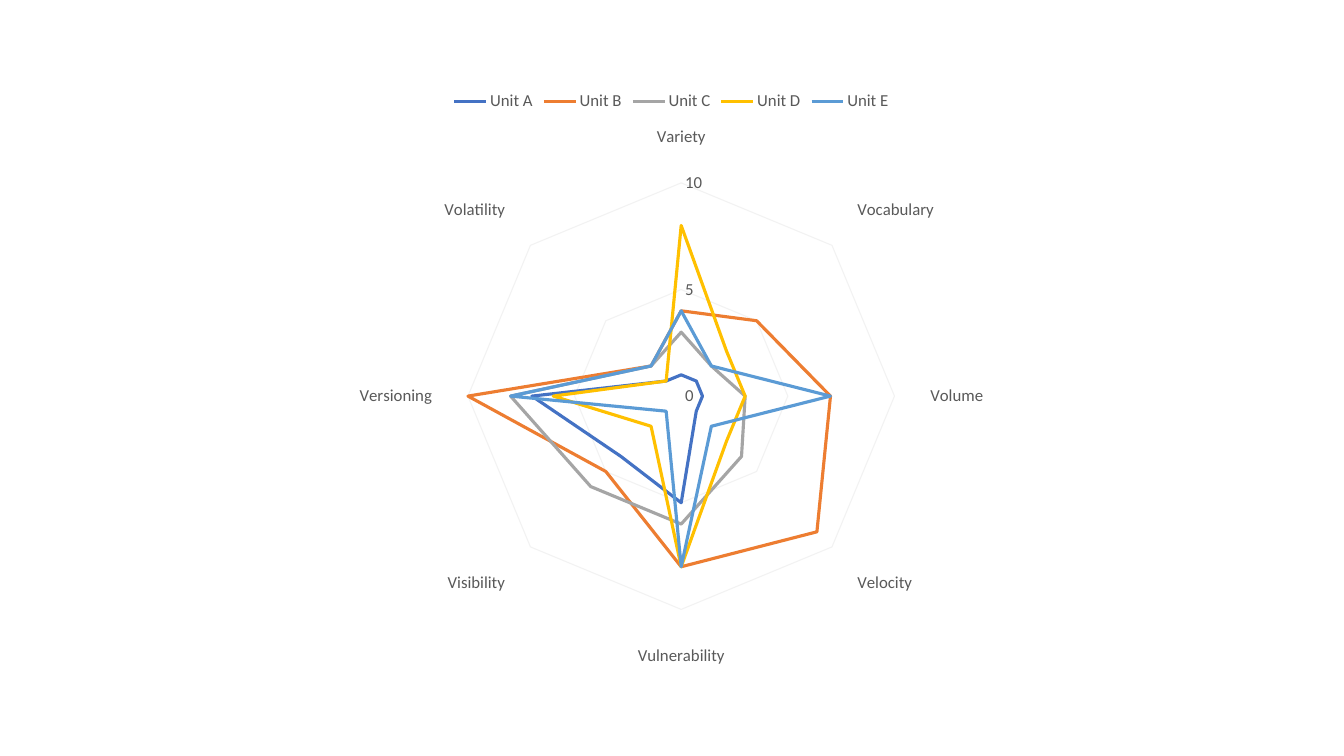
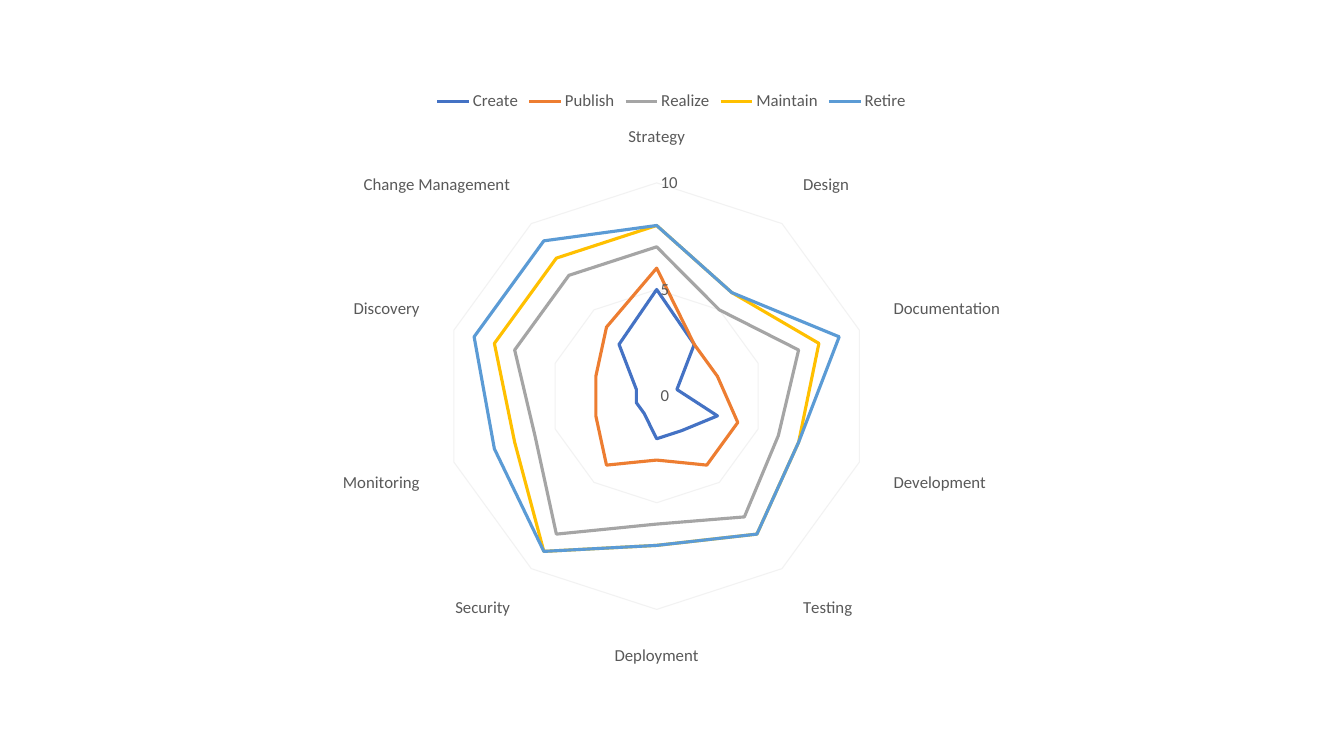
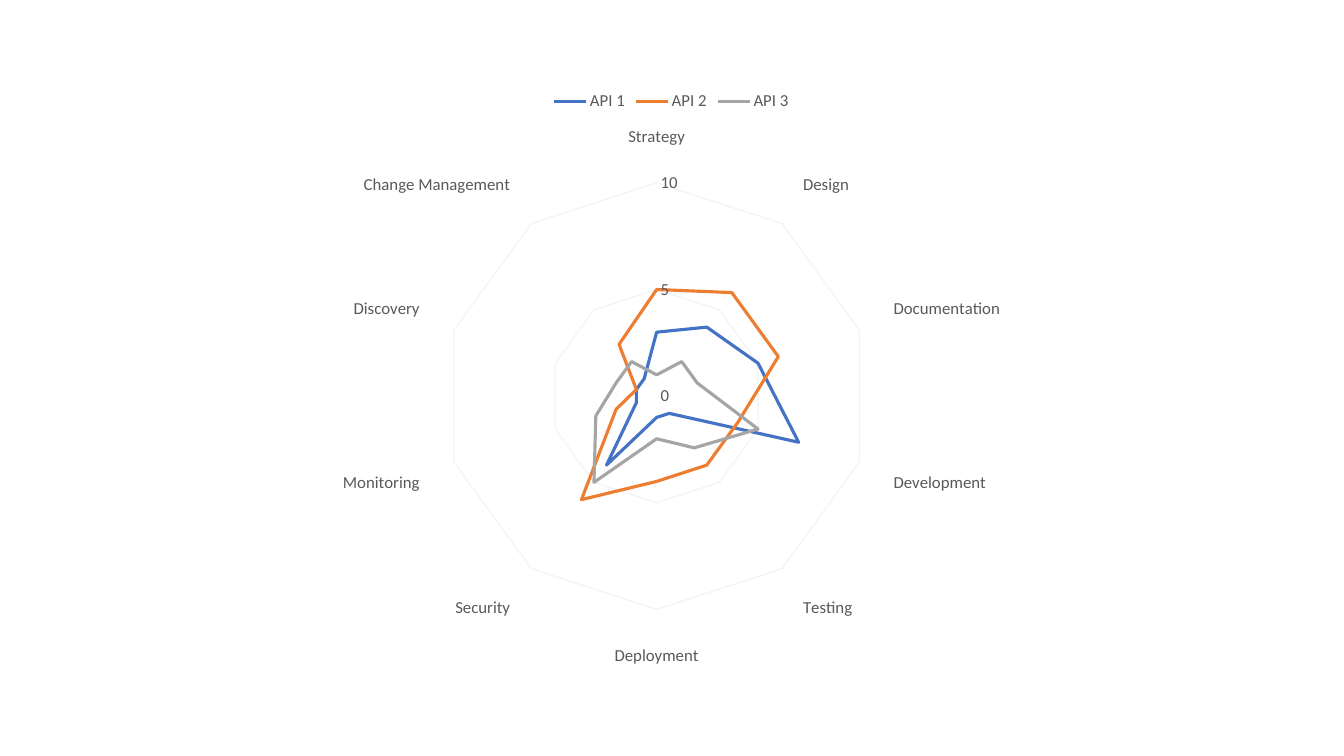
from pptx import Presentation
from pptx.chart.data import CategoryChartData
from pptx.dml.color import RGBColor
from pptx.enum.chart import XL_CHART_TYPE as ChartType
from pptx.enum.chart import XL_LEGEND_POSITION as LegendPosition
from pptx.enum.chart import XL_MARKER_STYLE as MarkerStyle
from pptx.enum.chart import XL_TICK_MARK as TickMark
from pptx.util import Pt

# Shared look
PX = 9525
SLIDE_SIZE = (1280, 720)
RADAR_BOX = (213, 76, 853, 569)
BLACK = RGBColor(0x00, 0x00, 0x00)
LABEL_GREY = RGBColor(0x59, 0x59, 0x59)
AXIS_GREY = RGBColor(0xD9, 0xD9, 0xD9)
GRID_GREY = RGBColor(0xF2, 0xF2, 0xF2)
SERIES_COLOURS = [
    RGBColor(0x44, 0x72, 0xC4),
    RGBColor(0xED, 0x7D, 0x31),
    RGBColor(0xA5, 0xA5, 0xA5),
    RGBColor(0xFF, 0xC0, 0x00),
    RGBColor(0x5B, 0x9B, 0xD5),
]
SCALE = {
    "minimum_scale": 0,
    "maximum_scale": 10,
    "major_unit": 5,
    "has_major_gridlines": True,
}

# Content: categories and scores of each slide
LANDSCAPE_ASPECTS = [
    "Variety", "Vocabulary", "Volume", "Velocity",
    "Vulnerability", "Visibility", "Versioning", "Volatility",
]
LIFECYCLE_PILLARS = [
    "Strategy", "Design", "Documentation", "Development", "Testing",
    "Deployment", "Security", "Monitoring", "Discovery", "Change Management",
]
UNIT_SCORES = {
    "Unit A": [1, 1, 1, 1, 5, 4, 7, 1],
    "Unit B": [4, 5, 7, 9, 8, 5, 10, 2],
    "Unit C": [3, 2, 3, 4, 6, 6, 8, 2],
    "Unit D": [8, 3, 3, 3, 8, 2, 6, 1],
    "Unit E": [4, 2, 7, 2, 8, 1, 8, 2],
}
STAGE_SCORES = {
    "Create": [5, 3, 1, 3, 2, 2, 1, 1, 1, 3],
    "Publish": [6, 3, 3, 4, 4, 3, 4, 3, 3, 4],
    "Realize": [7, 5, 7, 6, 7, 6, 8, 6, 7, 7],
    "Maintain": [8, 6, 8, 7, 8, 7, 9, 7, 8, 8],
    "Retire": [8, 6, 9, 7, 8, 7, 9, 8, 9, 9],
}
API_SCORES = {
    "API 1": [3, 4, 5, 7, 1, 1, 4, 1, 1, 1],
    "API 2": [5, 6, 6, 4, 4, 4, 6, 2, 1, 3],
    "API 3": [1, 2, 2, 5, 3, 2, 5, 3, 2, 2],
}


def style_font(font, size, colour):
    font.name = "Calibri"
    font.size = Pt(size)
    font.bold = False
    font.color.rgb = colour


def style_line(line, width, colour):
    line.width = Pt(width)
    line.color.rgb = colour


deck = Presentation()
deck.slide_width, deck.slide_height = [side * PX for side in SLIDE_SIZE]

for categories, scores in [
    (LANDSCAPE_ASPECTS, UNIT_SCORES),
    (LIFECYCLE_PILLARS, STAGE_SCORES),
    (LIFECYCLE_PILLARS, API_SCORES),
]:
    # Radar chart
    slide = deck.slides.add_slide(deck.slide_layouts[6])
    radar_data = CategoryChartData(number_format="General")
    radar_data.categories = categories
    for name, values in scores.items():
        radar_data.add_series(name, values)
    box = [length * PX for length in RADAR_BOX]
    radar = slide.shapes.add_chart(ChartType.RADAR, *box, radar_data).chart
    radar.has_title = False
    style_font(radar.font, 10, BLACK)

    # Legend
    radar.has_legend = True
    radar.legend.position = LegendPosition.TOP
    radar.legend.include_in_layout = False
    style_font(radar.legend.font, 12, LABEL_GREY)

    # Axes
    spokes, rings = radar.category_axis, radar.value_axis
    for axis in (spokes, rings):
        axis.major_tick_mark = axis.minor_tick_mark = TickMark.NONE
        axis.tick_labels.number_format = "General"
        axis.tick_labels.number_format_is_linked = False
        style_font(axis.tick_labels.font, 12, LABEL_GREY)
    spokes.has_major_gridlines = False
    style_line(spokes.format.line, 0.75, AXIS_GREY)
    for attribute, value in SCALE.items():
        setattr(rings, attribute, value)
    rings.format.line.fill.background()
    style_line(rings.major_gridlines.format.line, 0.75, GRID_GREY)

    # Score lines
    for score_line, colour in zip(radar.plots[0].series, SERIES_COLOURS):
        style_line(score_line.format.line, 2.25, colour)
        score_line.marker.style = MarkerStyle.NONE
        score_line.smooth = False

deck.save("out.pptx")
